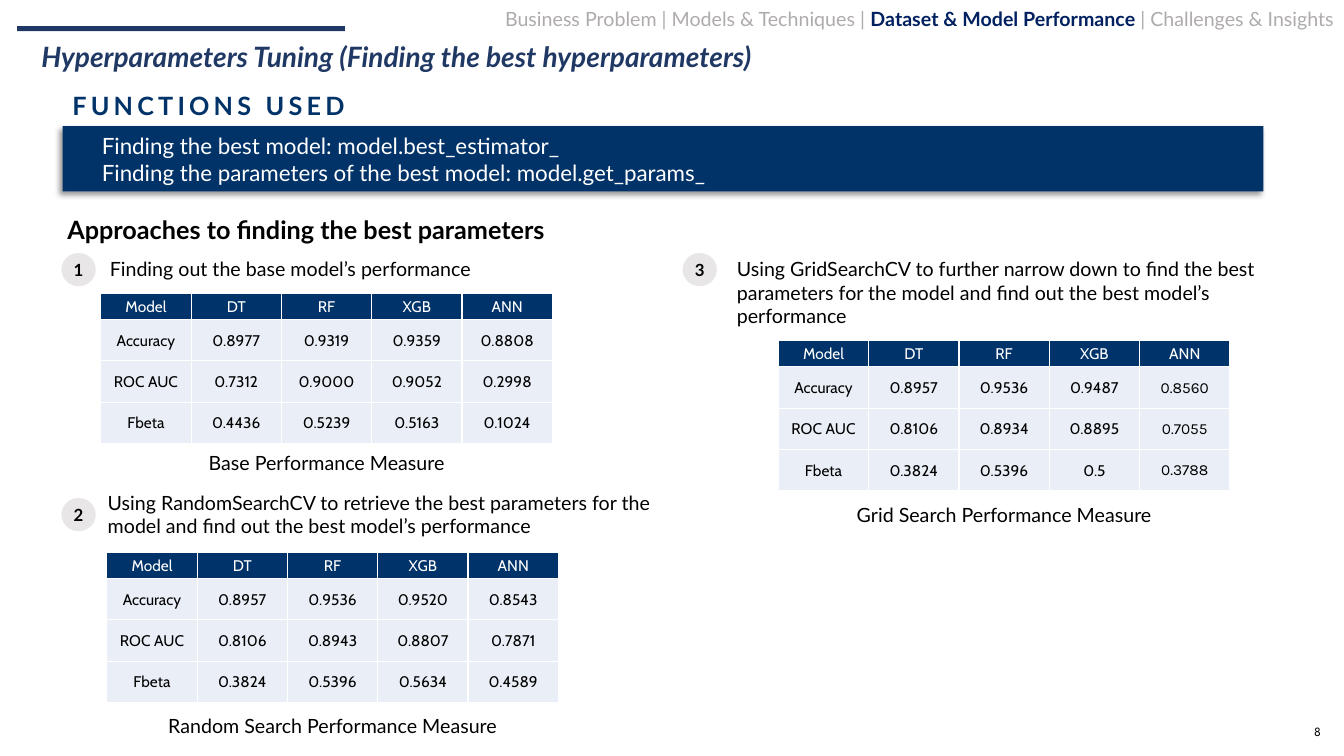
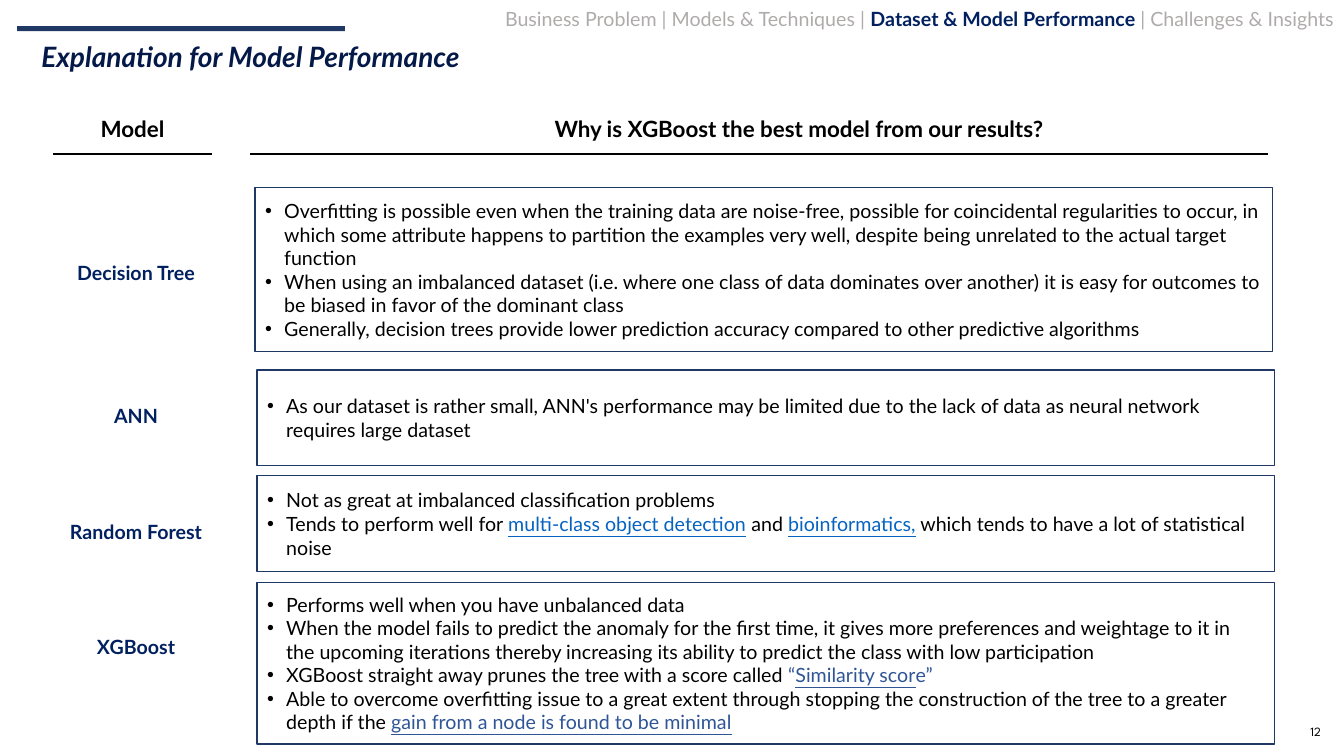
from dataclasses import dataclass

from lxml.etree import SubElement
from pptx import Presentation
from pptx.dml.color import RGBColor
from pptx.enum.shapes import MSO_CONNECTOR, MSO_SHAPE
from pptx.enum.text import MSO_ANCHOR, MSO_AUTO_SIZE, PP_ALIGN
from pptx.oxml.ns import qn
from pptx.util import Inches, Pt


@dataclass(frozen=True)
class Theme:
    face: str = "Lato"
    grid_face: str = "Cabin"
    alt_face: str = "Karla"
    page_face: str = "League Spartan"
    white: str = "FFFFFF"
    black: str = "000000"
    navy: str = "203864"
    deep: str = "041948"
    ink: str = "002060"
    band: str = "013369"
    head: str = "003369"
    cell: str = "EAEFF7"
    disc: str = "E8E6E6"
    grey: str = "AFABAB"
    link: str = "0563C1"
    blue: str = "2F5597"
    title: int = 20
    large: int = 18
    lead: int = 16
    body: int = 14
    mark: int = 12
    grid: int = 11
    page: int = 9


THEME = Theme()
TRAIL = [[("Business Problem | Models & Techniques | ", {}),
          ("Dataset & Model Performance ", {"color": THEME.ink, "bold": True}),
          ("| Challenges & Insights", {})]]
MODELS = ["Model", "DT", "RF", "XGB", "ANN"]


def rgb(code):
    return RGBColor.from_string(code)


def paint(run, look):
    """Apply a dict of font values; size is in points, spc in hundredths."""
    for key, value in look.items():
        if key == "color":
            run.font.color.rgb = rgb(value)
        elif key == "spc":
            run._r.get_or_add_rPr().set("spc", str(value))
        else:
            setattr(run.font, key, Pt(value) if key == "size" else value)


def dot(para):
    """Give a paragraph a hanging round bullet."""
    props = para._p.get_or_add_pPr()
    props.set("marL", str(Inches(0.19)))
    props.set("indent", str(-Inches(0.19)))
    SubElement(props, qn("a:buFont")).set("typeface", "Arial")
    SubElement(props, qn("a:buChar")).set("char", "•")


def tint(parent, code):
    """Add a colour element below parent and return it."""
    color = SubElement(parent, qn("a:srgbClr"))
    color.set("val", code)
    return color


class Deck:
    def __init__(self, theme):
        self.theme = theme
        self.file = Presentation()
        self.file.slide_width = Inches(13.33)
        self.file.slide_height = Inches(7.5)
        self.slide = None

    def put(self, frame, paras, look, align=PP_ALIGN.LEFT, bullet=False, **form):
        """Fill a frame; a paragraph is a string or a list of (text, look)."""
        base = {"name": self.theme.face, "size": self.theme.body,
                "color": self.theme.black} | look
        for key, value in ({"word_wrap": True} | form).items():
            setattr(frame, key, value)
        for i, parts in enumerate(paras):
            para = frame.add_paragraph() if i else frame.paragraphs[0]
            para.alignment = align
            if bullet:
                dot(para)
            for text, extra in [(parts, {})] if isinstance(parts, str) else parts:
                run = para.add_run()
                run.text = text
                paint(run, base | extra)

    def start(self, title, color, page):
        """Open a slide with its title, top bar, section trail and number."""
        t = self.theme
        self.slide = self.file.slides.add_slide(self.file.slide_layouts[5])
        self.box((0.17, 0.26, 3.25, 0.05), fill=t.navy)
        self.text((12.54, 7.12, 0.66, 0.27), [str(page)],
                  {"name": t.page_face, "size": t.page}, PP_ALIGN.RIGHT,
                  vertical_anchor=MSO_ANCHOR.MIDDLE)
        self.text((4.3, 0, 9.03, 0.38), TRAIL, {"color": t.grey}, PP_ALIGN.RIGHT,
                  vertical_anchor=MSO_ANCHOR.MIDDLE)
        head = self.slide.shapes.title
        head.left, head.top, head.width, head.height = map(
            Inches, (0.31, 0.38, 12.72, 0.68))
        self.put(head.text_frame, [title],
                 {"size": t.title, "color": color, "bold": True, "italic": True},
                 vertical_anchor=MSO_ANCHOR.TOP, auto_size=MSO_AUTO_SIZE.NONE)
        para = head.text_frame.paragraphs[0]
        para.line_spacing, para.space_before = 0.9, Pt(10)

    def text(self, at, paras, look, align=PP_ALIGN.LEFT, **form):
        box = self.slide.shapes.add_textbox(*map(Inches, at))
        self.put(box.text_frame, paras, look, align, **form)

    def box(self, at, paras=(), look=None, fill=None, line=None,
            kind=MSO_SHAPE.RECTANGLE, **form):
        shape = self.slide.shapes.add_shape(kind, *map(Inches, at))
        shape.shadow.inherit = False
        if fill:
            shape.fill.solid()
            shape.fill.fore_color.rgb = rgb(fill)
        else:
            shape.fill.background()
        if line:
            shape.line.color.rgb = rgb(line)
            shape.line.width = Pt(1)
        else:
            shape.line.fill.background()
        self.put(shape.text_frame, paras, look or {},
                 vertical_anchor=MSO_ANCHOR.MIDDLE, **form)
        return shape

    def band(self, at, paras):
        """A filled strip of text with a soft shadow."""
        t = self.theme
        shape = self.box(at, paras, {"size": t.lead, "color": t.white}, fill=t.band,
                         margin_left=Inches(0.39), margin_right=Inches(0.39))
        effects = shape._element.spPr.find(qn("a:effectLst"))
        shade = SubElement(effects, qn("a:outerShdw"))
        for key, value in {"blurRad": Pt(4), "dist": Pt(3), "dir": 135 * 60000,
                           "algn": "tr", "rotWithShape": 0}.items():
            shade.set(key, str(value))
        SubElement(tint(shade, t.black), qn("a:alpha")).set("val", "40000")

    def step(self, left, top, mark, at, text):
        """A numbered disc and the sentence beside it."""
        t = self.theme
        self.box((left, top, 0.34, 0.33), [mark], {"size": t.mark, "bold": True},
                 fill=t.disc, kind=MSO_SHAPE.OVAL, align=PP_ALIGN.CENTER,
                 margin_left=0, margin_right=0)
        self.text(at, [text], {})

    def rule(self, left, right, y):
        line = self.slide.shapes.add_connector(
            MSO_CONNECTOR.STRAIGHT, *map(Inches, (left, y, right, y)))
        line.line.color.rgb = rgb(self.theme.black)
        line.line.width = Pt(1.5)
        SubElement(line._element.spPr, qn("a:effectLst"))

    def table(self, left, top, scores, last):
        """Scores by model; last is the face of the final column's values."""
        t = self.theme
        rows = [MODELS] + [[name, *row.split()] for name, row in scores.items()]
        grid = self.slide.shapes.add_table(
            len(rows), len(MODELS), *map(Inches, (left, top, 4.48, 1.49))).table
        grid.first_row = grid.horz_banding = False
        for r, row in enumerate(rows):
            grid.rows[r].height = Inches(0.41 if r else 0.26)
            for c, text in enumerate(row):
                cell = grid.cell(r, c)
                edge = r and c == len(MODELS) - 1
                self.put(cell.text_frame, [text],
                         {"name": last if edge else t.grid_face, "size": t.grid,
                          "color": t.black if r else t.white}, PP_ALIGN.CENTER)
                self.frame(cell, t.cell if r else t.head)

    def frame(self, cell, fill):
        """Set a cell's insets, white borders and fill."""
        for key, value in {"margin_left": Inches(0.01), "margin_right": Inches(0.01),
                           "margin_top": Inches(0.01), "margin_bottom": 0,
                           "vertical_anchor": MSO_ANCHOR.MIDDLE}.items():
            setattr(cell, key, value)
        props = cell._tc.get_or_add_tcPr()
        for side in "LRTB":
            line = SubElement(props, qn(f"a:ln{side}"))
            line.set("w", str(Pt(1)))
            tint(SubElement(line, qn("a:solidFill")), self.theme.white)
        cell.fill.solid()
        cell.fill.fore_color.rgb = rgb(fill)


def tuning(deck):
    t = deck.theme
    deck.start("Hyperparameters Tuning (Finding the best hyperparameters)", t.navy, 8)
    deck.text((0.62, 0.85, 9.6, 0.4), ["FUNCTIONS USED"],
              {"size": t.large, "color": t.band, "bold": True, "spc": 300})
    deck.band((0.62, 1.25, 11.91, 0.65),
              ["Finding the best model: model.best_estimator_",
               "Finding the parameters of the best model: model.get_params_"])
    deck.text((0.57, 2.08, 5.63, 0.4), ["Approaches to finding the best parameters"],
              {"size": t.large, "bold": True})
    deck.step(0.61, 2.51, "1", (0.99, 2.5, 5.45, 0.34),
              "Finding out the base model’s performance")
    deck.step(0.61, 4.94, "2", (0.97, 4.82, 5.65, 0.57),
              "Using RandomSearchCV to retrieve the best parameters for the model "
              "and find out the best model’s performance")
    deck.step(6.77, 2.51, "3", (7.21, 2.5, 5.64, 0.81),
              "Using GridSearchCV to further narrow down to find the best parameters "
              "for the model and find out the best model’s performance")
    for left, top, low, name, last, scores in [
        (1, 2.91, 4.42, "Base", t.grid_face,
         {"Accuracy": "0.8977 0.9319 0.9359 0.8808",
          "ROC AUC": "0.7312 0.9000 0.9052 0.2998",
          "Fbeta": "0.4436 0.5239 0.5163 0.1024"}),
        (1.06, 5.48, 7.03, "Random Search", t.grid_face,
         {"Accuracy": "0.8957 0.9536 0.9520 0.8543",
          "ROC AUC": "0.8106 0.8943 0.8807 0.7871",
          "Fbeta": "0.3824 0.5396 0.5634 0.4589"}),
        (7.72, 3.38, 4.94, "Grid Search", t.alt_face,
         {"Accuracy": "0.8957 0.9536 0.9487 0.8560",
          "ROC AUC": "0.8106 0.8934 0.8895 0.7055",
          "Fbeta": "0.3824 0.5396 0.5 0.3788"}),
    ]:
        deck.table(left, top, scores, last)
        deck.text((left, low, 4.48, 0.34), [f"{name} Performance Measure"], {},
                  PP_ALIGN.CENTER)


def reasons(deck):
    t = deck.theme
    link = {"color": t.link, "underline": True}
    blue = {"color": t.blue}
    under = blue | {"underline": True}
    deck.start("Explanation for Model Performance", t.deep, 12)
    for left, width, start, end, text in [
        (0.53, 1.57, 0.53, 2.1, "Model"),
        (5.09, 5.67, 2.48, 12.58, "Why is XGBoost the best model from our results?"),
    ]:
        deck.text((left, 1.08, width, 0.39), [text], {"size": t.lead, "bold": True},
                  PP_ALIGN.CENTER, vertical_anchor=MSO_ANCHOR.MIDDLE)
        deck.rule(start, end, 1.53)
    for name, side, left, top, height, points in [
        ("Decision Tree", 2.06, 2.53, 1.86, 1.63, [
            "Overfitting is possible even when the training data are noise-free, "
            "possible for coincidental regularities to occur, in which some attribute "
            "happens to partition the examples very well, despite being unrelated to "
            "the actual target function",
            "When using an imbalanced dataset (i.e. where one class of data dominates "
            "over another) it is easy for outcomes to be biased in favor of the "
            "dominant class",
            "Generally, decision trees provide lower prediction accuracy compared to "
            "other predictive algorithms"]),
        ("ANN", 3.48, 2.55, 3.67, 0.95, [
            "As our dataset is rather small, ANN's performance may be limited due to "
            "the lack of data as neural network requires large dataset"]),
        ("Random Forest", 4.63, 2.55, 4.72, 0.95, [
            "Not as great at imbalanced classification problems",
            [("Tends to perform well for ", {}), ("multi-class object detection", link),
             (" and ", {}), ("bioinformatics,", link),
             (" which tends to have a lot of statistical noise", {})]]),
        ("XGBoost", 5.77, 2.55, 5.78, 1.6, [
            "Performs well when you have unbalanced data",
            "When the model fails to predict the anomaly for the first time, it gives "
            "more preferences and weightage to it in the upcoming iterations thereby "
            "increasing its ability to predict the class with low participation",
            [("XGBoost straight away prunes the tree with a score called", {}),
             (" “", blue), ("Similarity scor", under), ("e”", blue)],
            [("Able to overcome overfitting issue to a great extent through stopping "
              "the construction of the tree to a greater depth if the ", {}),
             ("gain from a node is found to be minimal", under)]]),
    ]:
        deck.box((0.53, side, 1.64, 1.29), [name], {"color": t.ink, "bold": True},
                 fill=t.white, align=PP_ALIGN.CENTER)
        deck.box((left, top, 10.09, height), points, line=t.navy, bullet=True)


def main():
    deck = Deck(THEME)
    tuning(deck)
    reasons(deck)
    deck.file.save("out.pptx")


if __name__ == "__main__":
    main()
